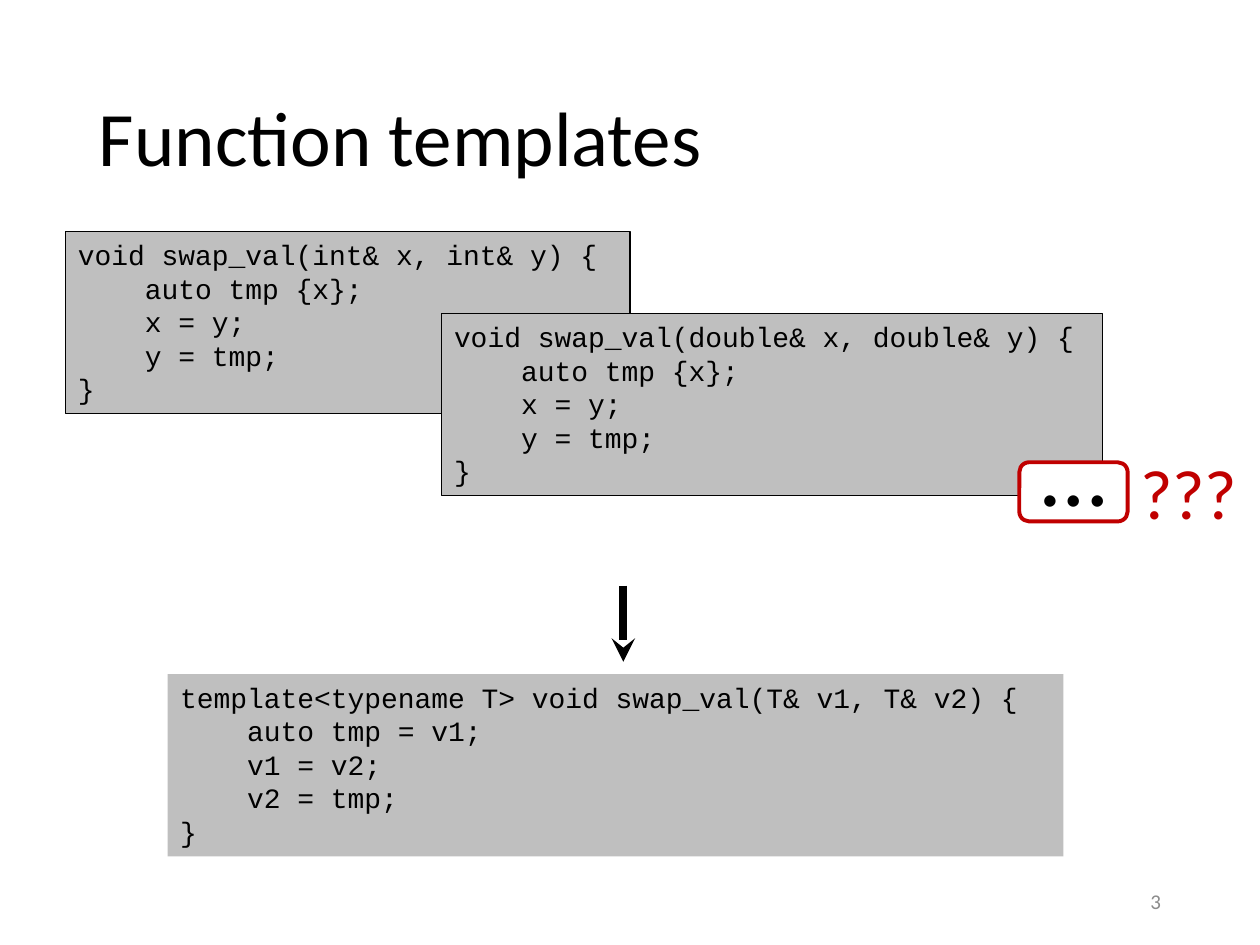
from dataclasses import dataclass

from lxml.etree import SubElement
from pptx import Presentation
from pptx.dml.color import RGBColor
from pptx.enum.shapes import MSO_CONNECTOR as Connector, MSO_SHAPE as Shape
from pptx.enum.text import MSO_ANCHOR as Anchor, MSO_AUTO_SIZE as AutoSize, PP_ALIGN as Align
from pptx.oxml.ns import qn
from pptx.util import Pt


@dataclass(frozen=True)
class Theme:
    black: RGBColor = RGBColor(0, 0, 0)
    white: RGBColor = RGBColor(255, 255, 255)
    code_fill: RGBColor = RGBColor(0xBF, 0xBF, 0xBF)
    accent: RGBColor = RGBColor(0xC0, 0, 0)
    muted: RGBColor = RGBColor(0x8C, 0x8C, 0x8C)
    body_font: str = "Calibri"
    code_font: str = "Courier New"
    title_size: int = 44
    dots_size: int = 54
    question_size: int = 40
    code_size: int = 16
    number_size: int = 12


theme = Theme()


def write(box, text, size, color, font=theme.body_font, anchor=Anchor.TOP,
          align=Align.LEFT, wrap=True):
    frame = box.text_frame
    frame.text = text
    frame.word_wrap = wrap
    frame.vertical_anchor = anchor
    for para in frame.paragraphs:
        para.alignment = align
        para.font.size = Pt(size)
        for span in para.runs:
            span.font.name = font
            span.font.size = Pt(size)
            span.font.color.rgb = color


def add_box(shapes, kind, bounds, fill, line=None, width=0.75):
    box = shapes.add_shape(kind, *map(Pt, bounds))
    box.shadow.inherit = False
    box.fill.solid()
    box.fill.fore_color.rgb = fill
    if line is None:
        box.line.fill.background()
    else:
        box.line.color.rgb = line
        box.line.width = Pt(width)
    return box


deck = Presentation()
deck.slide_width, deck.slide_height = Pt(720), Pt(540)
page = deck.slides.add_slide(deck.slide_layouts[6])

# Title and page number
title = page.shapes.add_textbox(Pt(49.5), Pt(28.75), Pt(621), Pt(104.4))
write(title, "Function templates", theme.title_size, theme.black, anchor=Anchor.MIDDLE)
title.text_frame.paragraphs[0].line_spacing = 0.9

number = page.shapes.add_textbox(Pt(508.5), Pt(500.5), Pt(162), Pt(28.75))
write(number, "3", theme.number_size, theme.muted, anchor=Anchor.MIDDLE, align=Align.RIGHT)

# Code: two overloads, then the template that replaces them
overload_body = "    auto tmp {x};\n    x = y;\n    y = tmp;\n}"
template_body = "    auto tmp = v1;\n    v1 = v2;\n    v2 = tmp;\n}"
listings = [
    (37.4, 132.3, 322.6, theme.black, "void swap_val(int& x, int& y) {", overload_body),
    (252.4, 179.1, 377.8, theme.black, "void swap_val(double& x, double& y) {", overload_body),
    (95.8, 385.2, 511.9, None, "template<typename T> void swap_val(T& v1, T& v2) {", template_body),
]
for left, top, width, line, signature, body in listings:
    box = add_box(page.shapes, Shape.RECTANGLE, (left, top, width, 104.2), theme.code_fill, line)
    write(box, f"{signature}\n{body}", theme.code_size, theme.black, theme.code_font)
    box.text_frame.auto_size = AutoSize.SHAPE_TO_FIT_TEXT

# Further overloads in question
more = page.shapes.add_group_shape().shapes
add_box(more, Shape.ROUNDED_RECTANGLE, (582.5, 264.2, 61.9, 33.8), theme.white, theme.accent, 2.25)
marks = [
    ("…", (588.2, 231.8, 51.8, 72.7), theme.dots_size, theme.black),
    ("???", (644.4, 253.4, 70.6, 55.4), theme.question_size, theme.accent),
]
for text, bounds, size, color in marks:
    mark = more.add_textbox(*map(Pt, bounds))
    write(mark, text, size, color, wrap=False)
    mark.text_frame.auto_size = AutoSize.SHAPE_TO_FIT_TEXT

# Arrow from the overloads to the template
arrow = page.shapes.add_connector(Connector.STRAIGHT, Pt(356.2), Pt(334.6), Pt(356.2), Pt(378.2))
arrow.line.color.rgb = theme.black
arrow.line.width = Pt(4.5)
SubElement(arrow.line._get_or_add_ln(), qn("a:tailEnd")).set("type", "stealth")
SubElement(arrow._element.spPr, qn("a:effectLst"))

deck.save("out.pptx")
